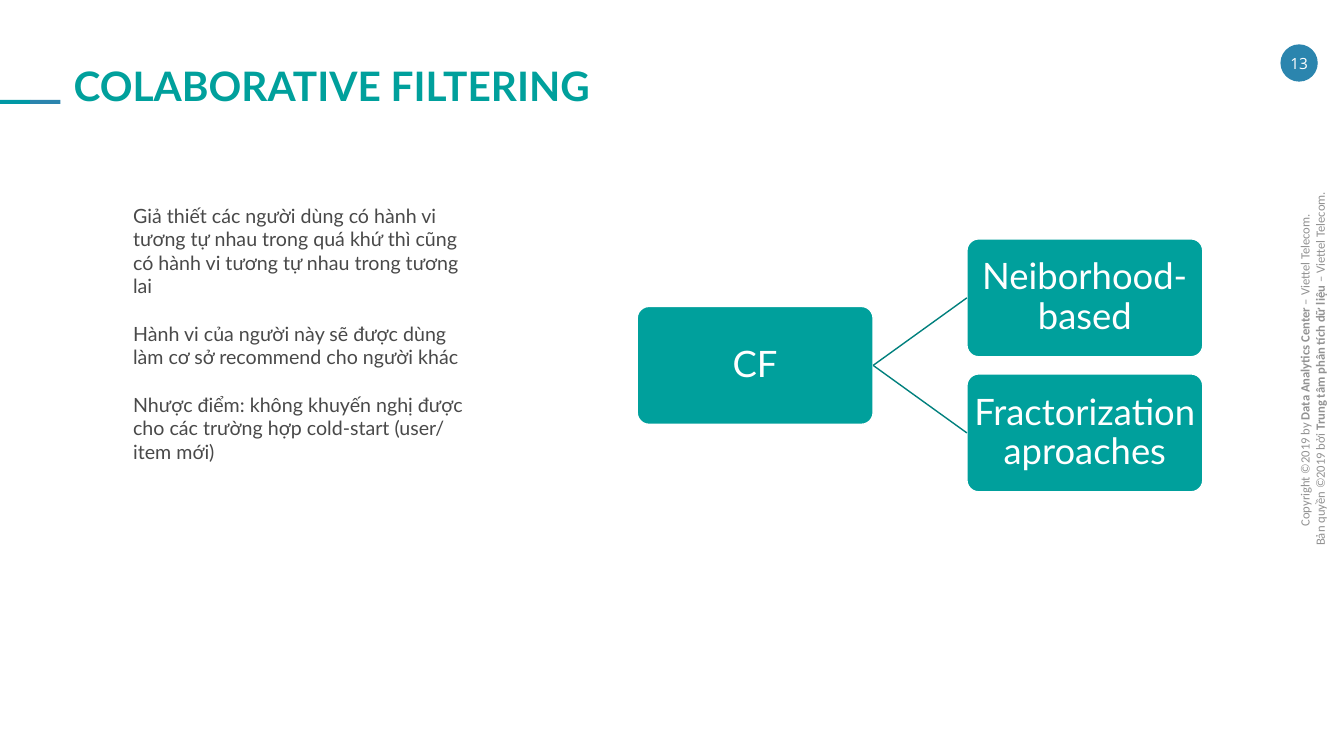
from dataclasses import dataclass
from lxml.etree import SubElement
from pptx import Presentation
from pptx.dml.color import RGBColor
from pptx.enum.shapes import MSO_CONNECTOR, MSO_SHAPE
from pptx.enum.text import MSO_ANCHOR, MSO_AUTO_SIZE, PP_ALIGN
from pptx.oxml.ns import qn
from pptx.util import Pt

SCALE = 9144


@dataclass(frozen=True)
class Theme:
    teal: str = "00A09C"
    deep: str = "00807D"
    sea: str = "0098A5"
    blue: str = "2B85AE"
    ink: str = "494949"
    gray: str = "929292"
    white: str = "FFFFFF"
    face: str = "Lato"
    head: int = 29
    node: int = 26
    body: int = 14
    badge: int = 11
    small: int = 9


THEME = Theme()
POINTS = [
    "Giả thiết các người dùng có hành vi tương tự nhau trong quá khứ thì cũng có hành vi tương tự nhau trong tương lai",
    "Hành vi của người này sẽ được dùng làm cơ sở recommend cho người khác",
    "Nhược điểm: không khuyến nghị được cho các trường hợp cold-start (user/ item mới)",
]
RIGHTS = [
    ("Copyright ©2019\u00a0by ", "Data Analytics Center", " – Viettel Telecom.\u00a0"),
    ("Bản quyền ©2019\u00a0bởi ", "Trung tâm phân tích dữ liệu ", "– Viettel Telecom."),
]


def px(n):
    return n * SCALE


def rgb(code):
    return RGBColor.from_string(code)


def apply(item, form):
    for key, value in form.items():
        setattr(item, key, value)


def style(font, size, color, face=THEME.face, bold=False):
    apply(font, {"size": Pt(size), "name": face, "bold": bold})
    font.color.rgb = rgb(color)


def place(shape, left, top, width, height):
    apply(shape, {"left": px(left), "top": px(top), "width": px(width), "height": px(height)})


def setup(frame, side=10, edge=5, anchor=MSO_ANCHOR.TOP):
    apply(frame, {
        "word_wrap": True, "auto_size": MSO_AUTO_SIZE.NONE, "vertical_anchor": anchor,
        "margin_left": px(side), "margin_right": px(side),
        "margin_top": px(edge), "margin_bottom": px(edge),
    })


def add_title(slide, text):
    title = slide.shapes.title
    place(title, 63, 58, 587, 41)
    setup(title.text_frame)
    title.text_frame.text = text
    para = title.text_frame.paragraphs[0]
    apply(para, {"alignment": PP_ALIGN.LEFT, "line_spacing": Pt(33)})
    style(para.font, THEME.head, THEME.teal, bold=True)


def add_body(slide, lines):
    body = slide.placeholders[1]
    place(body, 122, 197, 354, 293)
    frame = body.text_frame
    setup(frame)
    frame.text = "\n".join(lines)
    for i, para in enumerate(frame.paragraphs):
        props = para._p.get_or_add_pPr()
        props.set("marL", "0")
        props.set("indent", "0")
        SubElement(props, qn("a:buNone"))
        apply(para, {"space_before": Pt(17 if i else 0), "alignment": PP_ALIGN.LEFT})
        style(para.font, THEME.body, THEME.ink)


def add_block(slide, kind, area, color):
    shape = slide.shapes.add_shape(kind, *map(px, area))
    shape.shadow.inherit = False
    shape.fill.solid()
    shape.fill.fore_color.rgb = rgb(color)
    shape.line.fill.background()
    return shape


def add_label(shape, text, size, face=THEME.face, inset=2, lead=1.0):
    frame = shape.text_frame
    setup(frame, inset, inset, MSO_ANCHOR.MIDDLE)
    frame.text = text
    para = frame.paragraphs[0]
    apply(para, {"alignment": PP_ALIGN.CENTER, "line_spacing": lead})
    style(para.font, size, THEME.white, face)


def add_node(slide, text, left, top):
    node = add_block(slide, MSO_SHAPE.ROUNDED_RECTANGLE, (left, top, 234, 117), THEME.teal)
    node.adjustments[0] = 0.1
    node.line.color.rgb = rgb(THEME.white)
    node.line.width = Pt(1)
    add_label(node, text, THEME.node, lead=0.9)
    return node


def add_link(slide, start, end):
    link = slide.shapes.add_connector(MSO_CONNECTOR.STRAIGHT, 0, 0, 0, 0)
    link.begin_connect(start, 3)
    link.end_connect(end, 1)
    link.line.color.rgb = rgb(THEME.deep)
    link.line.width = Pt(1)
    SubElement(link._element.spPr, qn("a:effectLst"))


def add_tree(slide, root, leaves):
    top, step = 304, 134
    start = add_node(slide, root, 632, top)
    for i, text in enumerate(leaves):
        shift = round((i - (len(leaves) - 1) / 2) * step)
        add_link(slide, start, add_node(slide, text, 959, top + shift))


def add_rights(slide, lines):
    box = slide.shapes.add_textbox(*map(px, (1071, 346, 461, 40)))
    box.rotation = 270
    frame = box.text_frame
    setup(frame)
    for i, parts in enumerate(lines):
        para = frame.add_paragraph() if i else frame.paragraphs[0]
        para.alignment = PP_ALIGN.CENTER
        for j, part in enumerate(parts):
            run = para.add_run()
            run.text = part
            style(run.font, THEME.small, THEME.gray, "Calibri", j == 1)


def main():
    deck = Presentation()
    apply(deck, {"slide_width": px(1333), "slide_height": px(750)})
    slide = deck.slides.add_slide(deck.slide_layouts[1])
    add_rights(slide, RIGHTS)
    for i, color in enumerate((THEME.sea, THEME.blue)):
        add_block(slide, MSO_SHAPE.RECTANGLE, (i * 30, 99, 30, 4), color)
    badge = add_block(slide, MSO_SHAPE.OVAL, (1270, 44, 37, 37), THEME.blue)
    add_label(badge, "13", THEME.badge, "Open Sans", 0)
    add_title(slide, "COLABORATIVE FILTERING")
    add_tree(slide, "CF", ["Neiborhood-based", "Fractorization aproaches"])
    add_body(slide, POINTS)
    deck.save("out.pptx")


if __name__ == "__main__":
    main()
